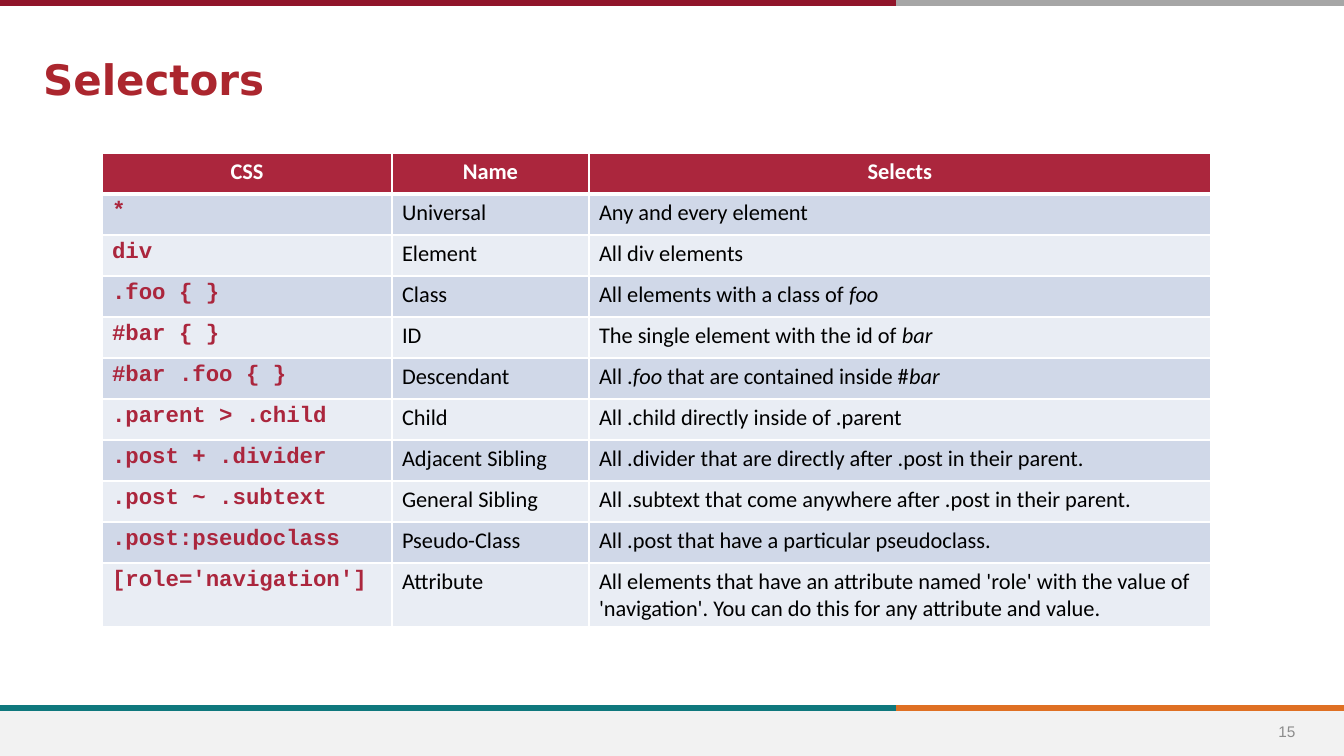
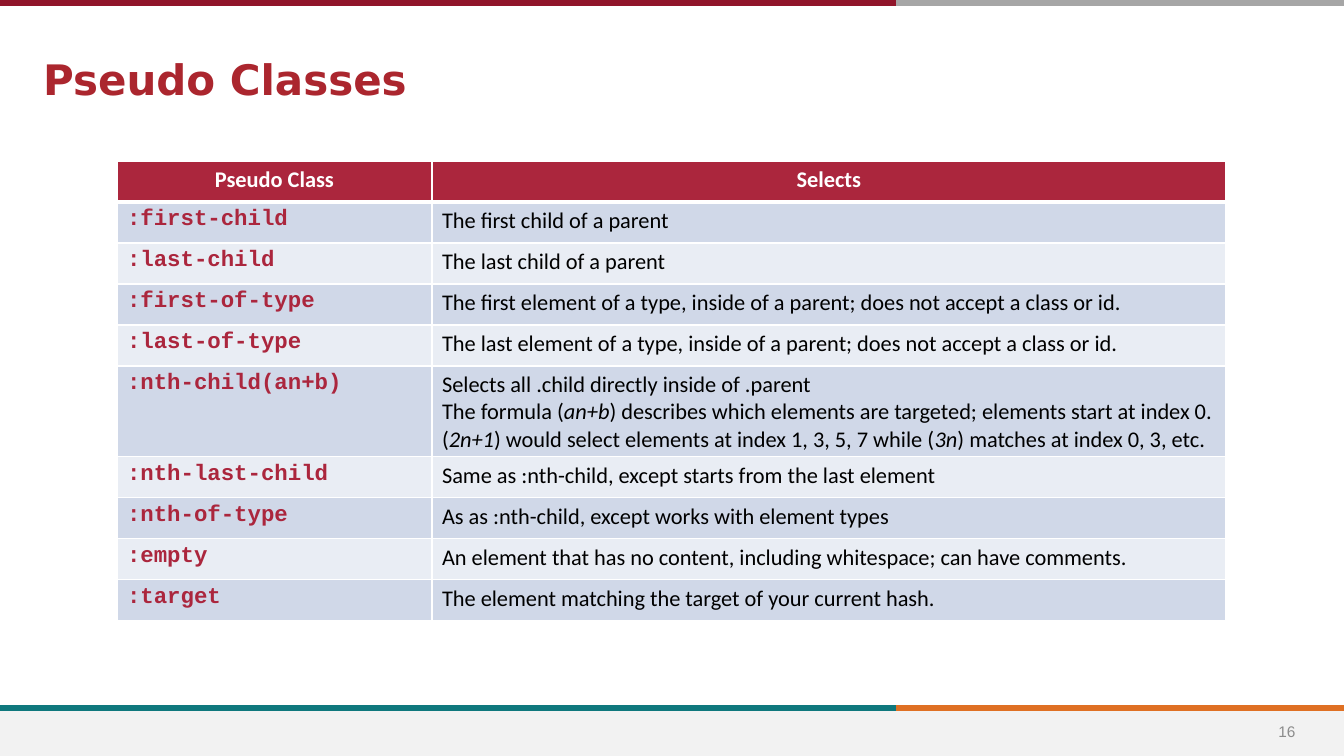
from lxml.etree import SubElement
from pptx import Presentation
from pptx.dml.color import RGBColor
from pptx.enum.shapes import MSO_CONNECTOR as Connector, MSO_SHAPE as Shape
from pptx.enum.text import MSO_ANCHOR as Anchor, PP_ALIGN as Align
from pptx.oxml import parse_xml
from pptx.oxml.ns import nsdecls, qn
from pptx.util import Emu, Pt

WIDTH, HEIGHT = 1344, 756
SPLIT = WIDTH * 2 // 3
TOP_LINE, BOTTOM_LINE = 3, 708
FOOTER_TOP = 711
ROW_HEIGHT = 41
FIRST_NUMBER = 15

WHITE = RGBColor(0xFF, 0xFF, 0xFF)
BLACK = RGBColor(0x00, 0x00, 0x00)
TITLE_RED = RGBColor(0xAB, 0x26, 0x2E)
TABLE_RED = RGBColor(0xAB, 0x26, 0x3D)
DARK_RED = RGBColor(0x90, 0x15, 0x2A)
GRAY = RGBColor(0xA6, 0xA6, 0xA6)
TEAL = RGBColor(0x0F, 0x78, 0x7D)
ORANGE = RGBColor(0xDF, 0x70, 0x23)
FOOTER_GRAY = RGBColor(0xF2, 0xF2, 0xF2)
NUMBER_GRAY = RGBColor(0x8C, 0x8C, 0x8C)
BAND_DARK = RGBColor(0xD0, 0xD8, 0xE8)
BAND_LIGHT = RGBColor(0xE9, 0xED, 0xF4)

SELECTORS = [
    ("CSS", "Name", "Selects"),
    ("*", "Universal", "Any and every element"),
    ("div", "Element", "All div elements"),
    (".foo { }", "Class", "All elements with a class of _foo_"),
    ("#bar { }", "ID", "The single element with the id of _bar_"),
    ("#bar .foo { }", "Descendant", "All ._foo_ that are contained inside #_bar_"),
    (".parent > .child", "Child", "All .child directly inside of .parent"),
    (".post + .divider", "Adjacent Sibling",
     "All .divider that are directly after .post in their parent."),
    (".post ~ .subtext", "General Sibling",
     "All .subtext that come anywhere after .post in their parent."),
    (".post:pseudoclass", "Pseudo-Class", "All .post that have a particular pseudoclass."),
    ("[role='navigation']", "Attribute",
     "All elements that have an attribute named 'role' with the value of "
     "'navigation'. You can do this for any attribute and value."),
]

PSEUDO_CLASSES = [
    ("Pseudo Class", "Selects"),
    (":first-child", "The first child of a parent"),
    (":last-child", "The last child of a parent"),
    (":first-of-type",
     "The first element of a type, inside of a parent; does not accept a class or id."),
    (":last-of-type",
     "The last element of a type, inside of a parent; does not accept a class or id."),
    (":nth-child(an+b)",
     "Selects all .child directly inside of .parent\n"
     "The formula (_an+b_) describes which elements are targeted; elements start at "
     "index 0. (_2n+1_) would select elements at index 1, 3, 5, 7 while (_3n_) "
     "matches at index 0, 3, etc."),
    (":nth-last-child", "Same as :nth-child, except starts from the last element"),
    (":nth-of-type", "As as :nth-child, except works with element types"),
    (":empty", "An element that has no content, including whitespace; can have comments."),
    (":target", "The element matching the target of your current hash."),
]


def px(length):
    return Emu(round(length * 914400 / 100.8))


def set_font(font, name, size, color, bold=False):
    font.name = name
    font.size = Pt(size)
    font.color.rgb = color
    font.bold = bold


def add_band_line(slide, left, right, y, color):
    line = slide.shapes.add_connector(Connector.STRAIGHT, px(left), px(y), px(right), px(y))
    line.line.color.rgb = color
    line.line.width = Pt(4)
    SubElement(line.element.spPr, qn("a:effectLst"))
    return line


def add_footer_band(slide):
    band = slide.shapes.add_shape(
        Shape.RECTANGLE, 0, px(FOOTER_TOP), px(WIDTH), px(HEIGHT - FOOTER_TOP))
    band.shadow.inherit = False
    band.fill.solid()
    band.fill.fore_color.rgb = FOOTER_GRAY
    band.line.fill.background()
    return band


def move_bands_to_layout(slide):
    bands = [
        add_footer_band(slide),
        add_band_line(slide, SPLIT, WIDTH, BOTTOM_LINE, ORANGE),
        add_band_line(slide, 0, SPLIT, BOTTOM_LINE, TEAL),
        add_band_line(slide, SPLIT, WIDTH, TOP_LINE, GRAY),
        add_band_line(slide, 0, SPLIT, TOP_LINE, DARK_RED),
    ]
    tree = slide.slide_layout.shapes.element
    for index, band in enumerate(bands):
        band.element.xpath(".//p:cNvPr")[0].set("id", str(20 + index))
        tree.insert(2 + index, band.element)


def set_title(slide, text):
    title = slide.shapes.title
    title.left, title.top, title.width, title.height = px(33), px(46), px(1074), px(60)
    frame = title.text_frame
    frame.text = text
    frame.vertical_anchor = Anchor.TOP
    frame.margin_top = px(8)
    para = frame.paragraphs[0]
    para.alignment = Align.LEFT
    set_font(para.font, "DejaVu Sans", 30, TITLE_RED, True)


def add_page_number(slide, number):
    box = slide.shapes.add_textbox(px(1252), px(FOOTER_TOP), px(70), px(40))
    frame = box.text_frame
    frame.word_wrap = True
    frame.vertical_anchor = Anchor.MIDDLE
    para = frame.paragraphs[0]
    para.text = str(number)
    para.alignment = Align.CENTER
    set_font(para.font, "Arial", 11, NUMBER_GRAY)


def set_borders(cell, top, bottom):
    properties = cell._tc.get_or_add_tcPr()
    widths = {"lnL": 1, "lnR": 1, "lnT": top, "lnB": bottom}
    for index, (side, width) in enumerate(widths.items()):
        properties.insert(index, parse_xml(
            f'<a:{side} {nsdecls("a")} w="{Pt(width)}"><a:solidFill>'
            f'<a:srgbClr val="{WHITE}"/></a:solidFill></a:{side}>'))


def write_cell(cell, text, row, column):
    frame = cell.text_frame
    for index, line in enumerate(text.split("\n")):
        para = frame.add_paragraph() if index else frame.paragraphs[0]
        if row == 0:
            para.alignment = Align.CENTER
            set_font(para.font, "Calibri", 16, WHITE, True)
        elif column == 0:
            set_font(para.font, "Courier New", 16, TABLE_RED, True)
        else:
            set_font(para.font, "Calibri", 16, BLACK)
        for part, words in enumerate(line.split("_")):
            if words:
                span = para.add_run()
                span.text = words
                if part % 2:
                    span.font.italic = True


def add_selector_table(slide, left, top, widths, rows):
    table = slide.shapes.add_table(
        len(rows), len(widths), px(left), px(top),
        px(sum(widths)), px(ROW_HEIGHT * len(rows))).table
    table.horz_banding = False
    for column, width in zip(table.columns, widths):
        column.width = px(width)
    for row, texts in enumerate(rows):
        table.rows[row].height = px(ROW_HEIGHT)
        band = BAND_DARK if row % 2 else BAND_LIGHT
        for column, text in enumerate(texts):
            cell = table.cell(row, column)
            cell.fill.solid()
            cell.fill.fore_color.rgb = band if row else TABLE_RED
            set_borders(cell, 3 if row == 1 else 1, 1 if row else 3)
            write_cell(cell, text, row, column)


def main():
    deck = Presentation()
    deck.slide_width, deck.slide_height = px(WIDTH), px(HEIGHT)
    layout = deck.slide_layouts[5]
    pages = [
        ("Selectors", 102, 153, (290, 197, 622), SELECTORS),
        ("Pseudo Classes", 117, 161, (315, 794), PSEUDO_CLASSES),
    ]
    for index, (title, left, top, widths, rows) in enumerate(pages):
        slide = deck.slides.add_slide(layout)
        if index == 0:
            move_bands_to_layout(slide)
        add_page_number(slide, FIRST_NUMBER + index)
        set_title(slide, title)
        add_selector_table(slide, left, top, widths, rows)
    deck.save("out.pptx")


if __name__ == "__main__":
    main()
